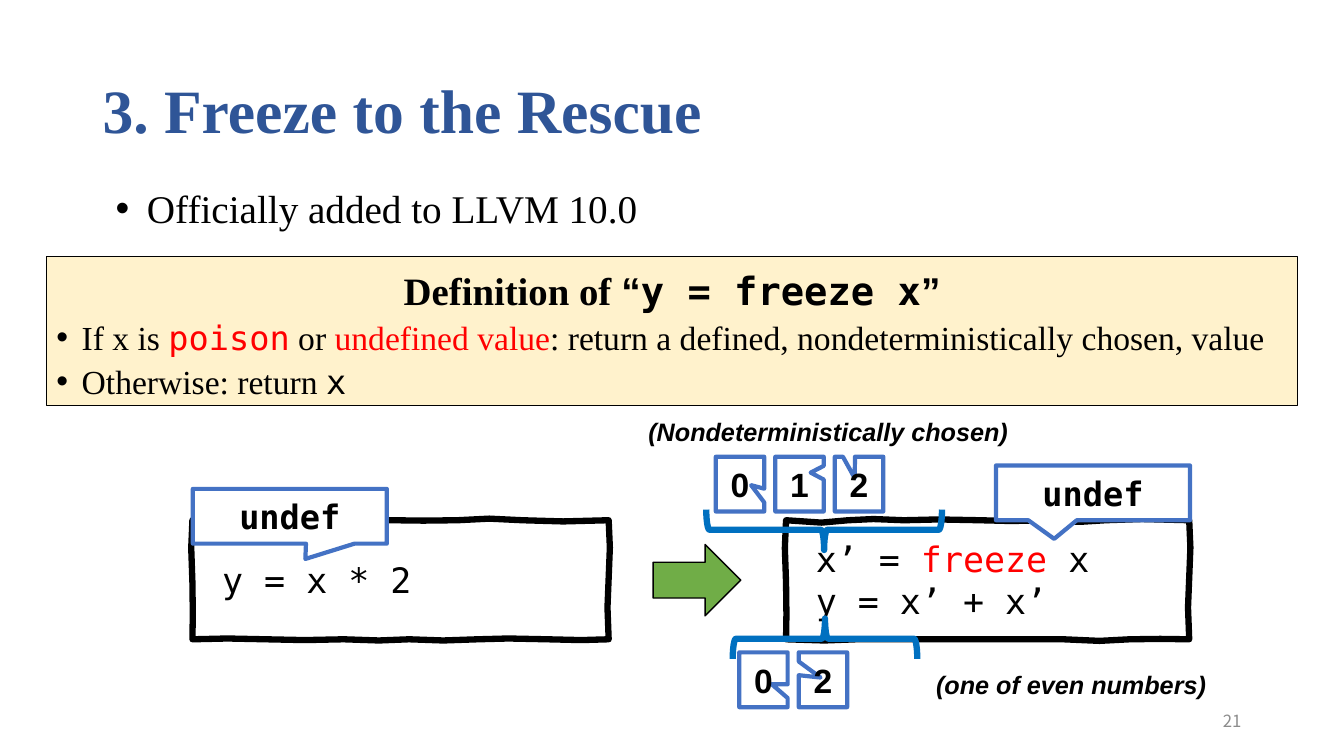
from dataclasses import dataclass
from typing import Optional

from lxml import etree
from pptx import Presentation
from pptx import util as u
from pptx.dml.color import RGBColor
from pptx.enum import shapes, text
from pptx.oxml.ns import qn

COLOURS = {
    "black": "000000", "white": "FFFFFF", "red": "FF0000", "title": "2F5597",
    "grey": "8C8C8C", "callout": "4472C4", "brace": "0070C0",
    "arrow": "70AD47", "definition": "FFF2CC",
}
SERIF, SANS, MONO = "Times New Roman", "Arial", "DejaVu Sans Mono"
LEFT, CENTER, RIGHT = text.PP_ALIGN.LEFT, text.PP_ALIGN.CENTER, text.PP_ALIGN.RIGHT
CODE_TOP, CODE_HEIGHT = 13.11, 300
HEADING_SIZE, RULE_SIZE = 27.7, 24
CALLOUT_HEIGHT, DIGIT_WIDTH, DIGIT_PITCH = 1.38, 1.22, 1.5


@dataclass(frozen=True)
class Run:
    words: str
    font: str
    size: float
    colour: str = "black"
    bold: bool = False
    italic: bool = False


@dataclass(frozen=True)
class Line:
    runs: list[Run]
    align: text.PP_ALIGN = LEFT
    spacing: float = 1.0
    indent: float = 0


@dataclass(frozen=True)
class Box:
    left: float
    top: float
    width: float
    height: float

    def lengths(self) -> list[u.Length]:
        return [u.Cm(value) for value in (self.left, self.top, self.width, self.height)]


@dataclass(frozen=True)
class Callout:
    box: Box
    tail: tuple[float, float]
    label: Run


@dataclass(frozen=True)
class CodeBox:
    """Edges are Bézier points in hundredths of a centimetre from the top left corner."""
    left: float
    width: int
    top_edge: list[tuple[int, int]]
    bottom_edge: list[tuple[int, int]]
    lines: list[Line]


def code(words: str, colour: str = "black") -> Run:
    return Run(words, MONO, 25, colour)


def heading(words: str, font: str) -> Run:
    return Run(words, font, HEADING_SIZE, bold=True)


def rule(words: str, font: str = SERIF, colour: str = "black") -> Run:
    return Run(words, font, RULE_SIZE, colour)


def digit_row(left: float, top: float, digits: str, tails: list[tuple[float, float]]) -> list[Callout]:
    return [Callout(Box(left + index * DIGIT_PITCH, top, DIGIT_WIDTH, CALLOUT_HEIGHT),
                    tail, Run(digit, SANS, 24, bold=True))
            for index, (digit, tail) in enumerate(zip(digits, tails))]


TITLE = Line([Run("3. Freeze to the Rescue", SERIF, 44, "title", True)], spacing=0.9)
RELEASE = Line([Run("Officially added to LLVM 10.0", SERIF, 28)], indent=0.79)
DEFINITION = [
    Line([heading("Definition of ", SERIF), heading("“", SANS),
          heading("y = freeze x", MONO), heading("”", SANS)], CENTER, 1.1),
    Line([rule("If x is "), rule("poison", MONO, "red"), rule(" or "),
          rule("undefined value", colour="red"),
          rule(": return a defined, nondeterministically chosen, value")], spacing=1.1, indent=0.64),
    Line([rule("Otherwise: return "), rule("x", MONO)], spacing=1.1, indent=0.64),
]
CODE_BOXES = [
    CodeBox(4.85, 1049,
            [(48, -5), (119, -8), (165, 0), (211, 8), (262, 0), (307, 0),
             (353, 0), (450, 8), (503, 0), (556, -5), (605, 8), (668, 0),
             (729, -5), (767, -5), (831, 0), (897, 5), (968, 3), (1049, 0)],
            [(998, 305), (968, 300), (894, 300), (820, 302), (765, 292), (719, 300),
             (676, 310), (589, 297), (546, 300), (500, 305), (445, 302), (381, 300),
             (318, 300), (249, 305), (185, 300), (122, 297), (51, 297), (0, 300)],
            [Line([code(" y = x * 2")])]),
    CodeBox(19.81, 1016,
            [(61, 8), (124, 8), (157, 0), (193, -5), (241, -3), (297, 0),
             (353, 3), (409, -8), (488, 0), (566, 8), (572, -3), (648, 0),
             (721, 5), (770, 5), (805, 0), (843, -3), (942, -5), (1016, 0)],
            [(978, 302), (909, 295), (866, 300), (826, 307), (759, 305), (699, 300),
             (638, 297), (597, 302), (528, 300), (460, 300), (434, 300), (368, 300),
             (302, 300), (239, 300), (178, 300), (119, 302), (79, 307), (0, 300)],
            [Line([code(" x’ = "), code("freeze", "red"), code(" x")]), Line([code(" y = x’ + x’")])]),
]
CALLOUTS = [
    *digit_row(18.04, 11.51, "012", [(0.23, 0.02), (0.23, -0.21), (-0.09, -0.11)]),
    *digit_row(18.63, 16.44, "02", [(0.17, 0.08), (-0.05, -0.04)]),
    *[Callout(Box(left, top, 4.89, CALLOUT_HEIGHT), tail, Run("undef", MONO, 24, bold=True))
      for left, top, tail in [(4.86, 12.32, (0.08, 0.78)), (25.1, 11.73, (-0.2, 0.84))]],
]
BRACES = [(Box(20.26, 10.38, 1.02, 5.94), 270, 0.5), (Box(20.28, 13.77, 1.02, 4.65), 90, 0.5)]
LABELS = [
    (Box(16.09, 10.36, 9.68, 1.02), "(Nondeterministically chosen)"),
    (Box(23.34, 16.74, 7.39, 1.02), "(one of even numbers)"),
]


def rgb(name: str) -> RGBColor:
    return RGBColor.from_string(COLOURS[name])


def write(shape, lines: list[Line], anchor=text.MSO_ANCHOR.MIDDLE, wrap: bool = True) -> None:
    frame = shape.text_frame
    frame.auto_size = text.MSO_AUTO_SIZE.NONE
    frame.word_wrap = wrap
    frame.vertical_anchor = anchor
    for index, line in enumerate(lines):
        paragraph = frame.add_paragraph() if index else frame.paragraphs[0]
        paragraph.alignment = line.align
        paragraph.line_spacing = line.spacing
        paragraph.space_before = u.Pt(0)
        if line.indent:
            properties = paragraph._p.get_or_add_pPr()
            properties.set("marL", str(u.Cm(line.indent)))
            properties.set("indent", str(-u.Cm(line.indent)))
            etree.SubElement(properties, qn("a:buFont")).set("typeface", SANS)
            etree.SubElement(properties, qn("a:buChar")).set("char", "•")
        for item in line.runs:
            run = paragraph.add_run()
            run.text = item.words
            run.font.name, run.font.size = item.font, u.Pt(item.size)
            run.font.bold, run.font.italic = item.bold, item.italic
            run.font.color.rgb = rgb(item.colour)


def paint(shape, fill: Optional[str], line: str, width: float) -> None:
    shape.shadow.inherit = False
    if fill:
        shape.fill.solid()
        shape.fill.fore_color.rgb = rgb(fill)
    else:
        shape.fill.background()
    shape.line.color.rgb = rgb(line)
    shape.line.width = u.Pt(width)


def add_preset(slide, kind, box: Box, fill: Optional[str], line: str, width: float):
    shape = slide.shapes.add_shape(kind, *box.lengths())
    paint(shape, fill, line, width)
    return shape


def add_label(slide, box: Box, line: Line, wrap: bool = False) -> None:
    write(slide.shapes.add_textbox(*box.lengths()), [line], wrap=wrap)


def fill_placeholder(shape, box: Box, line: Line) -> None:
    shape.left, shape.top, shape.width, shape.height = box.lengths()
    write(shape, [line])


def curve_points(points: list[tuple[int, int]]) -> list[tuple[float, float]]:
    """Give the middle and the end of each cubic Bézier curve in a chain from the origin."""
    start, samples = (0, 0), []
    for first in range(0, len(points), 3):
        near, far, end = points[first:first + 3]
        middle = tuple((a + 3 * b + 3 * c + d) / 8 for a, b, c, d in zip(start, near, far, end))
        samples += [middle, end]
        start = end
    return samples


def add_code_box(slide, box: CodeBox) -> None:
    right_edge = [(box.width + x, y) for x, y in
                  [(5, 46), (3, 89), (0, 145), (-5, 201), (-3, 236), (0, CODE_HEIGHT)]]
    left_edge = [(-3, 262), (5, 218), (0, 157), (-5, 97), (-3, 38), (0, 0)]
    builder = slide.shapes.build_freeform(0, 0, scale=u.Cm(0.01))
    builder.add_line_segments(curve_points(box.top_edge + right_edge + box.bottom_edge + left_edge))
    shape = builder.convert_to_shape(u.Cm(box.left), u.Cm(CODE_TOP))
    paint(shape, None, "black", 4.5)
    write(shape, box.lines)


def main() -> None:
    presentation = Presentation()
    presentation.slide_width, presentation.slide_height = u.Cm(33.87), u.Cm(19.05)
    slide = presentation.slides.add_slide(presentation.slide_layouts[1])
    preset = shapes.MSO_SHAPE
    fill_placeholder(slide.shapes.title, Box(2.33, 1.01, 29.21, 3.68), TITLE)
    fill_placeholder(slide.placeholders[1], Box(2.66, 4.52, 13.79, 1.45), RELEASE)
    add_label(slide, Box(23.92, 17.65, 7.62, 1.02),
              Line([Run("21", "Noto Sans CJK KR", 12, "grey")], RIGHT), wrap=True)
    for code_box in CODE_BOXES:
        add_code_box(slide, code_box)
    add_preset(slide, preset.RIGHT_ARROW, Box(16.46, 13.72, 2.21, 1.8), "arrow", "black", 1)
    definition = add_preset(slide, preset.RECTANGLE, Box(1.17, 6.47, 31.54, 3.76), "definition", "black", 0.75)
    write(definition, DEFINITION, text.MSO_ANCHOR.TOP)
    for callout in CALLOUTS:
        shape = add_preset(slide, preset.RECTANGULAR_CALLOUT, callout.box, "white", "callout", 3)
        shape.adjustments[0], shape.adjustments[1] = callout.tail
        write(shape, [Line([callout.label], CENTER)])
    for box, rotation, point in BRACES:
        brace = add_preset(slide, preset.LEFT_BRACE, box, None, "brace", 4.5)
        brace.rotation = rotation
        brace.adjustments[0], brace.adjustments[1] = 0.08, point
    for box, words in LABELS:
        add_label(slide, box, Line([Run(words, SANS, 18, bold=True, italic=True)]))
    presentation.save("out.pptx")


if __name__ == "__main__":
    main()
